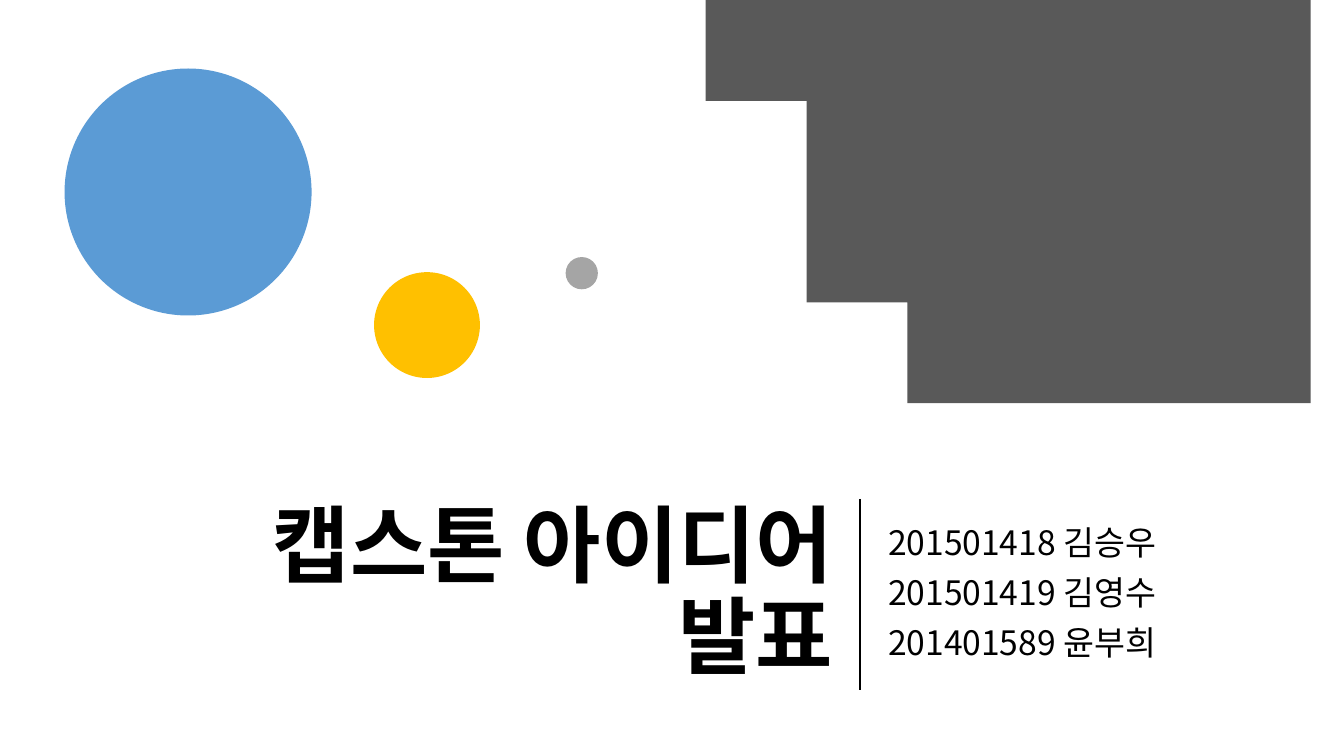
import math

import pptx
import pptx.dml.color
import pptx.enum.shapes
import pptx.enum.text
import pptx.oxml.ns
import pptx.util
from lxml import etree

WIDTH, HEIGHT = 13.33, 7.5
FONT = "Noto Sans CJK KR"
BAND_TOP, BAND_HEIGHT = 0.66 * HEIGHT, 1.9
ALIGN = pptx.enum.text.PP_ALIGN
MEMBERS = ["201501418 김승우", "201501419 김영수", "201401589 윤부희"]
DOTS = [
    (0.64, 0.68, 2.45, "5B9BD5"),
    (3.71, 2.7, 1.05, "FFC000"),
    (5.61, 2.55, 0.32, "A5A5A5"),
]


def inches(*lengths):
    """Convert lengths in inches to slide units."""
    return [pptx.util.Inches(length) for length in lengths]


def paint(color_format, hex_color):
    """Give a fill, line fill or font colour holder a solid hex colour."""
    color_format.rgb = pptx.dml.color.RGBColor.from_string(hex_color)


def fill_plain(shape, hex_color):
    """Fill a shape with one colour, without outline or shadow."""
    shape.shadow.inherit = False
    shape.fill.solid()
    paint(shape.fill.fore_color, hex_color)
    shape.line.fill.background()


def write_lines(shape, lines, size, align, bold=False, space_before=0):
    """Write vertically centred paragraphs in the slide's font."""
    frame = shape.text_frame
    frame.word_wrap = True
    frame.auto_size = pptx.enum.text.MSO_AUTO_SIZE.NONE
    frame.vertical_anchor = pptx.enum.text.MSO_ANCHOR.MIDDLE
    frame.text = "\n".join(lines)
    for paragraph in frame.paragraphs:
        paragraph.alignment = align
        paragraph.line_spacing = 0.9
        paragraph.space_before = pptx.util.Pt(space_before)
        font = paragraph.font
        font.name, font.bold = FONT, bold
        font.size = pptx.util.Pt(size)
        paint(font.color, "000000")
        for latin in paragraph._p.findall(".//" + pptx.oxml.ns.qn("a:latin")):
            east_asian = etree.Element(pptx.oxml.ns.qn("a:ea"), typeface=FONT)
            latin.addnext(east_asian)


def add_title(slide, text):
    """Place the title to the left of the divider."""
    title = slide.shapes.title
    title.left, title.top, title.width, title.height = inches(
        0.92, BAND_TOP, 7.44, BAND_HEIGHT)
    write_lines(title, [text], 60, ALIGN.RIGHT, bold=True)


def add_members(slide, members):
    """List the team members to the right of the divider."""
    box = slide.shapes.add_textbox(*inches(8.71, BAND_TOP, 3.56, BAND_HEIGHT))
    write_lines(box, members, 24, ALIGN.LEFT, space_before=10)


def add_dot(slide, left, top, diameter, hex_color):
    """Draw a filled circle."""
    oval = pptx.enum.shapes.MSO_SHAPE.OVAL
    dot = slide.shapes.add_shape(oval, *inches(left, top, diameter, diameter))
    fill_plain(dot, hex_color)


def add_corner_disc(slide, center_x, center_y, radius, hex_color, steps=90):
    """Draw the part of a large disc that lies inside the top right corner."""
    start = math.acos((WIDTH - center_x) / radius)
    end = math.pi - math.asin(-center_y / radius)
    angles = [start + (end - start) * i / steps for i in range(steps + 1)]
    arc = [(center_x + radius * math.cos(a), center_y + radius * math.sin(a))
           for a in angles]
    builder = slide.shapes.build_freeform(WIDTH, 0, scale=pptx.util.Inches(1))
    builder.add_line_segments(arc, close=True)
    fill_plain(builder.convert_to_shape(), hex_color)


def add_divider(slide, x):
    """Draw the vertical rule between title and members."""
    straight = pptx.enum.shapes.MSO_CONNECTOR.STRAIGHT
    divider = slide.shapes.add_connector(
        straight, *inches(x, BAND_TOP, x, BAND_TOP + BAND_HEIGHT))
    paint(divider.line.color, "000000")
    divider.line.width = pptx.util.Pt(1.5)
    etree.SubElement(divider._element.spPr, pptx.oxml.ns.qn("a:effectLst"))


def main():
    """Build the cover slide and save it."""
    deck = pptx.Presentation()
    deck.slide_width, deck.slide_height = inches(WIDTH, HEIGHT)
    cover = deck.slides.add_slide(deck.slide_layouts.get_by_name("Title Only"))
    add_title(cover, "캡스톤 아이디어 발표")
    add_members(cover, MEMBERS)
    for dot in DOTS:
        add_dot(cover, *dot)
    add_corner_disc(cover, 12.2, -0.71, 5.15, "595959")
    add_divider(cover, 8.53)
    deck.save("out.pptx")


if __name__ == "__main__":
    main()
